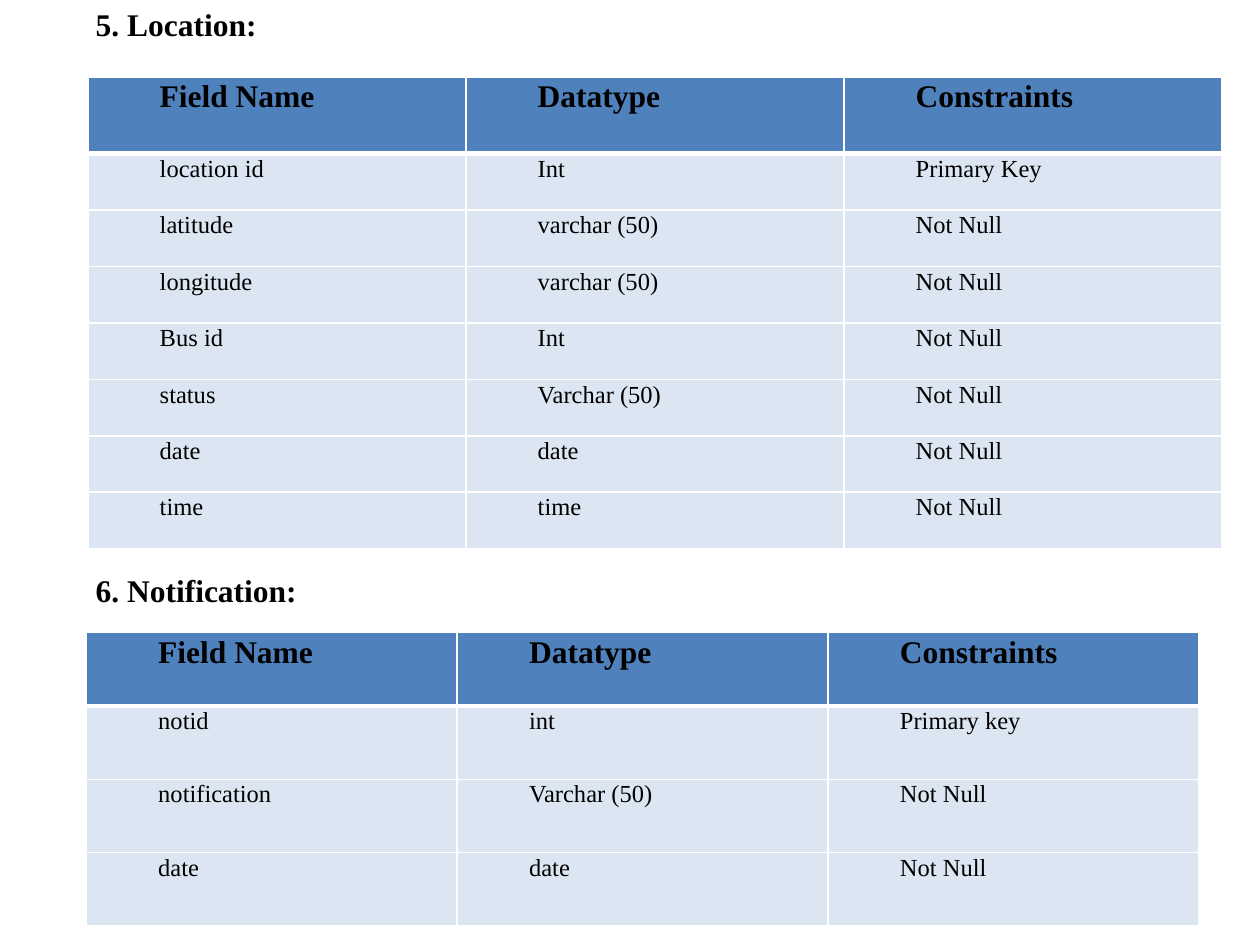
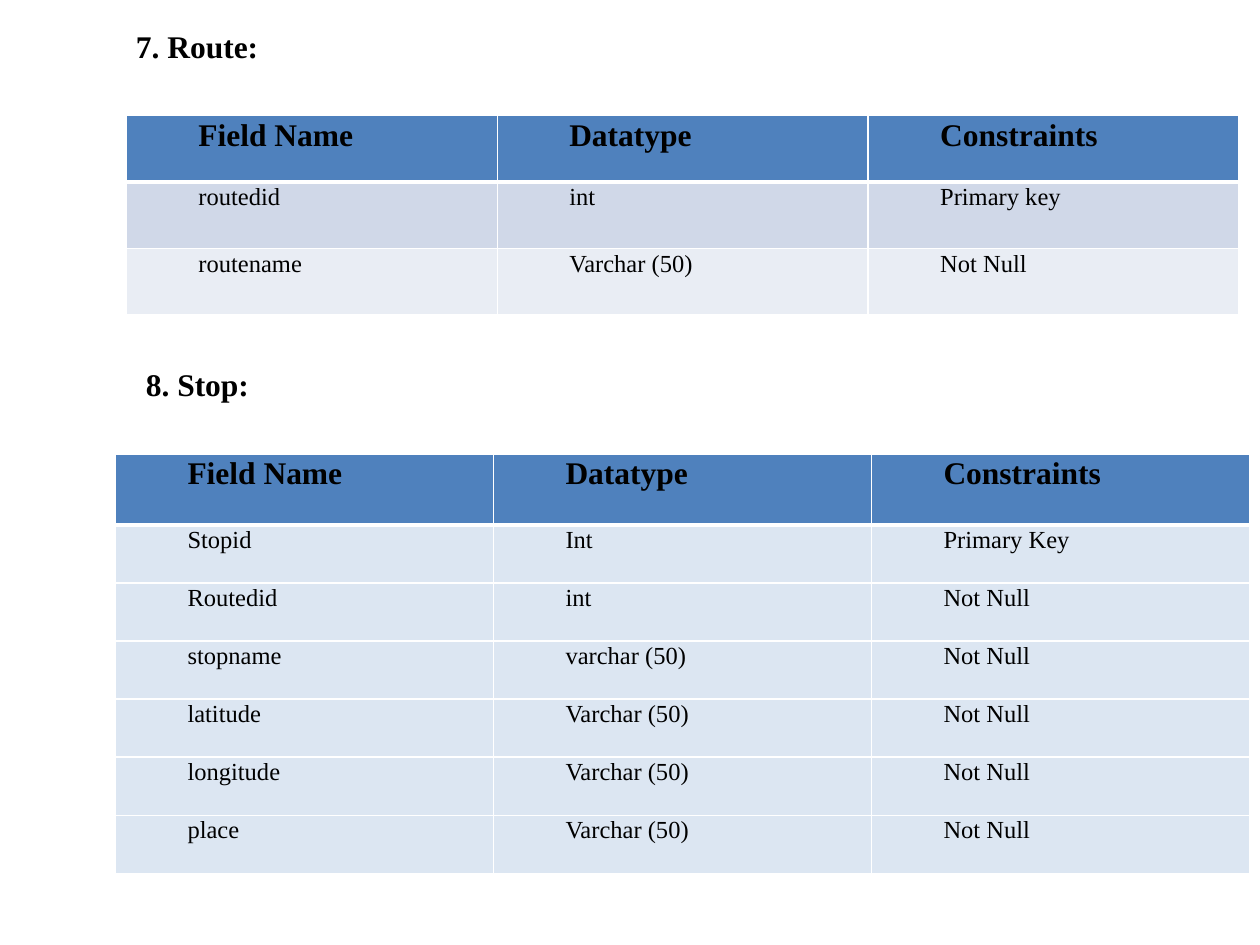
from lxml import etree
from pptx import Presentation
from pptx.dml.color import RGBColor
from pptx.enum.text import MSO_AUTO_SIZE
from pptx.oxml.ns import qn
from pptx.util import Cm, Pt

GROW = MSO_AUTO_SIZE.SHAPE_TO_FIT_TEXT

COLORS = {
    "text": "000000",
    "border": "FFFFFF",
    "header": "4F81BD",
    "pale": "DCE6F2",
    "band_dark": "D0D8E8",
    "band_light": "E9EDF4",
}
FONT = "Times New Roman"
HEADINGS = ("Field Name", "Datatype", "Constraints")

LOCATION = [
    ("location id", "Int", "Primary Key"),
    ("latitude", "varchar (50)", "Not Null"),
    ("longitude", "varchar (50)", "Not Null"),
    ("Bus id", "Int", "Not Null"),
    ("status", "Varchar (50)", "Not Null"),
    ("date", "date", "Not Null"),
    ("time", "time", "Not Null"),
]
NOTIFICATION = [
    ("notid", "int", "Primary key"),
    ("notification", "Varchar (50)", "Not Null"),
    ("date", "date", "Not Null"),
]
ROUTE = [
    ("routedid", "int", "Primary key"),
    ("routename", "Varchar (50)", "Not Null"),
]
STOP = [
    ("Stopid", "Int", "Primary Key"),
    ("Routedid", "int", "Not Null"),
    ("stopname", "varchar (50)", "Not Null"),
    ("latitude", "Varchar (50)", "Not Null"),
    ("longitude", "Varchar (50)", "Not Null"),
    ("place", "Varchar (50)", "Not Null"),
]


class SchemaDeck:
    def __init__(self):
        self.deck = Presentation()
        self.deck.slide_width, self.deck.slide_height = Cm(25.4), Cm(19.05)
        self.slide = None

    def new_slide(self):
        self.slide = self.deck.slides.add_slide(self.deck.slide_layouts[6])

    def add_text(self, paragraph, text, size, bold):
        run = paragraph.add_run()
        run.text = text
        run.font.name = FONT
        run.font.size = Pt(size)
        run.font.bold = bold
        run.font.color.rgb = RGBColor.from_string(COLORS["text"])

    def title(self, text, left, top, width, wrap=False):
        box = self.slide.shapes.add_textbox(Cm(left), Cm(top), Cm(width), Cm(1.03))
        box.text_frame.word_wrap = wrap
        box.text_frame.auto_size = GROW
        self.add_text(box.text_frame.paragraphs[0], text, 18, True)

    def borders(self, cell, top, bottom):
        properties = cell._tc.get_or_add_tcPr()
        for side, points in (("L", 1), ("R", 1), ("T", top), ("B", bottom)):
            line = etree.SubElement(properties, qn(f"a:ln{side}"), w=str(Pt(points)))
            fill = etree.SubElement(line, qn("a:solidFill"))
            etree.SubElement(fill, qn("a:srgbClr"), val=COLORS["border"])

    def cell(self, cell, text, row, last_column, color):
        is_header = row == 0
        cell.margin_left = cell.margin_right = Cm(0.18)
        cell.margin_top = cell.margin_bottom = 0
        self.borders(cell, 3 if row == 1 else 1, 3 if is_header else 1)
        cell.fill.solid()
        cell.fill.fore_color.rgb = RGBColor.from_string(COLORS[color])
        paragraph = cell.text_frame.paragraphs[0]
        paragraph._p.get_or_add_pPr().set("marL", str(Cm(1.27)))
        paragraph.line_spacing = 1.07
        if last_column:
            paragraph.space_after = Pt(8)
        self.add_text(paragraph, text, 18 if is_header else 14, is_header)

    def fields(self, records, left, top, width, height, header, bands=("pale",)):
        rows = [HEADINGS, *records]
        columns = len(HEADINGS)
        table = self.slide.shapes.add_table(
            len(rows), columns, Cm(left), Cm(top), Cm(width), Cm(height)
        ).table
        table.horz_banding = False
        for column in table.columns:
            column.width = Cm(width / columns)
        for r, values in enumerate(rows):
            table.rows[r].height = Cm((height - header) / len(records) if r else header)
            color = bands[(r - 1) % len(bands)] if r else "header"
            for c, value in enumerate(values):
                self.cell(table.cell(r, c), value, r, c == columns - 1, color)


def main():
    schema = SchemaDeck()

    schema.new_slide()
    schema.fields(LOCATION, 1.77, 1.56, 22.86, 9.5, 1.54)
    schema.title("5. Location:", 1.68, -0.03, 12.7, wrap=True)
    schema.title("6. Notification:", 1.68, 11.39, 4.6)
    schema.fields(NOTIFICATION, 1.74, 12.75, 22.43, 5.92, 1.48)

    schema.new_slide()
    schema.title("7. Route:", 2.49, 0.43, 3)
    schema.fields(ROUTE, 2.55, 2.33, 22.43, 4.02, 1.34, ("band_dark", "band_light"))
    schema.title("8. Stop:", 2.69, 7.24, 2.62)
    schema.fields(STOP, 2.33, 9.15, 22.86, 8.46, 1.43)

    schema.deck.save("out.pptx")


if __name__ == "__main__":
    main()
